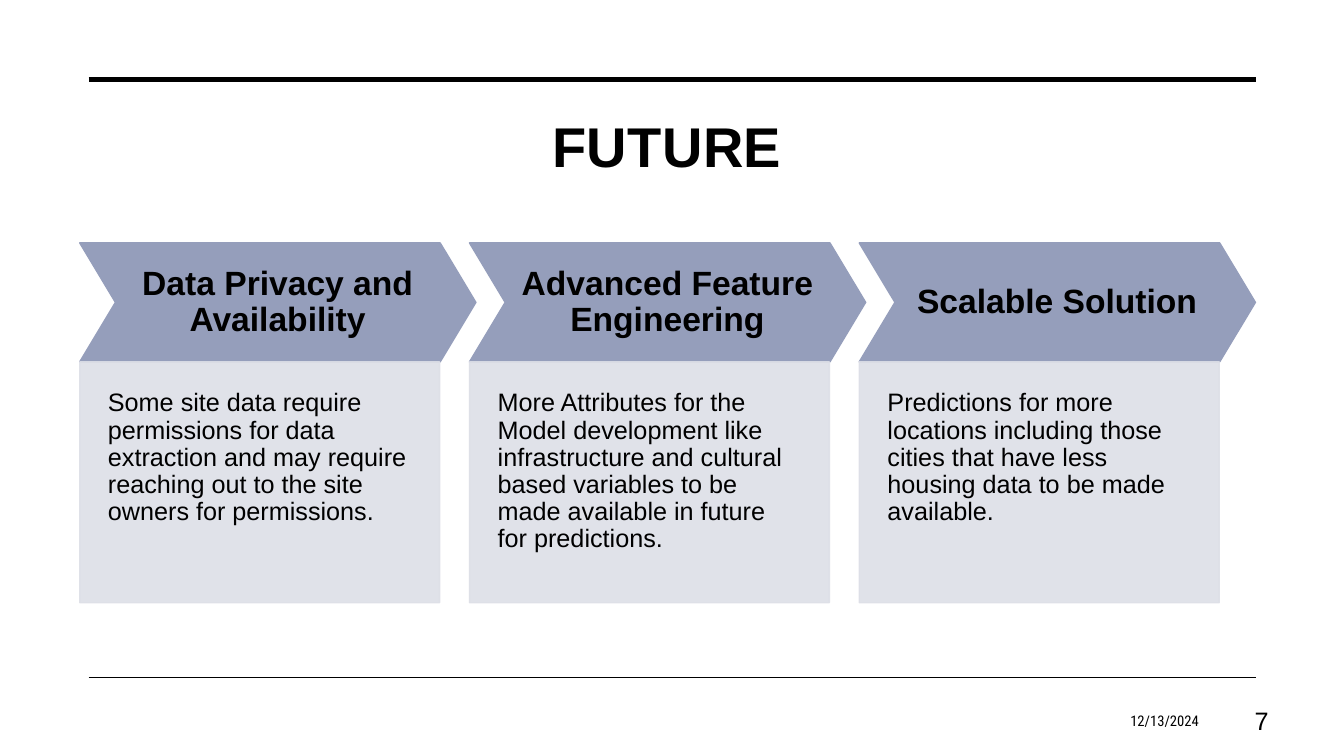
from dataclasses import dataclass, field
from typing import Any

import lxml.etree
import pptx
import pptx.dml.color
import pptx.enum.shapes
import pptx.enum.text
import pptx.oxml.ns
import pptx.util

Align = pptx.enum.text.PP_ALIGN
Anchor = pptx.enum.text.MSO_ANCHOR
Preset = pptx.enum.shapes.MSO_SHAPE
WIDTH = pptx.util.Inches(13.33)
HEIGHT = pptx.util.Inches(7.5)


@dataclass(frozen=True)
class Theme:
    ink: str = "000000"
    chevron: str = "959EBB"
    panel: str = "DDDFE7"
    panel_opacity: int = 90
    face: str = "Arial"
    date_face: str = "Roboto Condensed"
    title_size: float = 40
    label_size: float = 24
    body_size: float = 18
    date_size: float = 10.5
    outline: float = 1
    top_rule: float = 3.5
    bottom_rule: float = 1


@dataclass(frozen=True)
class Area:
    """Position and size on a grid of 100 columns by 100 rows."""

    column: float
    row: float
    columns: float
    rows: float

    def lengths(self) -> tuple[int, int, int, int]:
        return across(self.column), down(self.row), across(self.columns), down(self.rows)


@dataclass(frozen=True)
class TextStyle:
    size: float
    face: str
    bold: bool = False
    tracking: int = 0
    frame: dict[str, Any] = field(default_factory=dict)
    paragraph: dict[str, Any] = field(default_factory=dict)


@dataclass(frozen=True)
class Rule:
    row: float
    weight: float


@dataclass(frozen=True)
class Caption:
    text: str
    area: Area
    style: TextStyle


@dataclass(frozen=True)
class Step:
    label: str
    body: str


THEME = Theme()


def across(columns: float) -> int:
    return round(WIDTH * columns / 100)


def down(rows: float) -> int:
    return round(HEIGHT * rows / 100)


def color(value: str) -> pptx.dml.color.RGBColor:
    return pptx.dml.color.RGBColor.from_string(value)


def margins(left: float, top: float, right: float, bottom: float) -> dict[str, Any]:
    sides = ("left", "top", "right", "bottom")
    return {
        f"margin_{side}": pptx.util.Inches(inset)
        for side, inset in zip(sides, (left, top, right, bottom))
    }


def apply(target: Any, values: dict[str, Any]) -> None:
    for name, value in values.items():
        setattr(target, name, value)


TITLE = TextStyle(
    THEME.title_size, THEME.face, True, 30,
    margins(0.1, 0.1, 0.1, 0.05), {"alignment": Align.CENTER},
)
LABEL = TextStyle(
    THEME.label_size, THEME.face, True, 0,
    margins(0.15, 0.15, 0.15, 0.15) | {"vertical_anchor": Anchor.MIDDLE},
    {"alignment": Align.CENTER, "line_spacing": 0.9},
)
BODY = TextStyle(
    THEME.body_size, THEME.face, False, 0,
    margins(0.28, 0.28, 0.28, 0.56) | {"vertical_anchor": Anchor.TOP},
    {"alignment": Align.LEFT, "line_spacing": 0.9},
)
FOOTER = {
    "frame": {"vertical_anchor": Anchor.MIDDLE},
    "paragraph": {"alignment": Align.RIGHT, "space_after": pptx.util.Pt(6)},
}
DATE = TextStyle(THEME.date_size, THEME.date_face, **FOOTER)
NUMBER = TextStyle(THEME.body_size, THEME.face, **FOOTER)

RULES = (Rule(10.53, THEME.top_rule), Rule(89.6, THEME.bottom_rule))
RULE_START, RULE_END = 6.6, 93.47
CAPTIONS = (
    Caption("FUTURE", Area(5.78, 13.47, 87.7, 20), TITLE),
    Caption("12/13/2024", Area(68.64, 92.67, 21.3, 5.33), DATE),
    Caption("7", Area(89.57, 92.67, 5.55, 5.33), NUMBER),
)
STEPS = (
    Step(
        "Data Privacy and Availability",
        "Some site data require permissions for data extraction and may require "
        "reaching out to the site owners for permissions.",
    ),
    Step(
        "Advanced Feature Engineering",
        "More Attributes for the Model development like infrastructure and cultural "
        "based variables to be made available in future for predictions.",
    ),
    Step(
        "Scalable Solution",
        "Predictions for more locations including those cities that have less "
        "housing data to be made available.",
    ),
)
STEP_START, STEP_PITCH, STEP_ROW = 5.93, 29, 32.13
CHEVRON_COLUMNS, CHEVRON_ROWS, CHEVRON_POINT = 29.48, 15.73, 0.3
LABEL_INDENT, LABEL_COLUMNS = 2.65, 24.15
PANEL_COLUMNS, PANEL_ROWS = 26.78, 31.87


def write(box: Any, text: str, style: TextStyle) -> None:
    frame = box.text_frame
    apply(frame, {"word_wrap": True} | style.frame)
    para = frame.paragraphs[0]
    apply(para, style.paragraph)
    span = para.add_run()
    span.text = text
    apply(span.font, {"size": pptx.util.Pt(style.size), "name": style.face, "bold": style.bold})
    span.font.color.rgb = color(THEME.ink)
    if style.tracking:
        span.font._element.set("spc", str(style.tracking))


def add_caption(page: Any, caption: Caption) -> None:
    write(page.shapes.add_textbox(*caption.area.lengths()), caption.text, caption.style)


def add_rule(page: Any, rule: Rule) -> None:
    line = page.shapes.add_connector(
        pptx.enum.shapes.MSO_CONNECTOR.STRAIGHT,
        across(RULE_START), down(rule.row), across(RULE_END), down(rule.row),
    )
    line.line.color.rgb = color(THEME.ink)
    line.line.width = pptx.util.Pt(rule.weight)
    lxml.etree.SubElement(line._element.spPr, pptx.oxml.ns.qn("a:effectLst"))


def add_block(page: Any, preset: Any, area: Area, tint: str, opacity: int = 100) -> Any:
    block = page.shapes.add_shape(preset, *area.lengths())
    block.shadow.inherit = False
    block.fill.solid()
    block.fill.fore_color.rgb = color(tint)
    block.line.color.rgb = color(tint)
    block.line.width = pptx.util.Pt(THEME.outline)
    if opacity < 100:
        for swatch in block._element.spPr.iter(pptx.oxml.ns.qn("a:srgbClr")):
            alpha = lxml.etree.SubElement(swatch, pptx.oxml.ns.qn("a:alpha"))
            alpha.set("val", str(opacity * 1000))
    return block


def add_step(page: Any, index: int, step: Step) -> None:
    left = STEP_START + index * STEP_PITCH
    chevron_area = Area(left, STEP_ROW, CHEVRON_COLUMNS, CHEVRON_ROWS)
    label_area = Area(left + LABEL_INDENT, STEP_ROW, LABEL_COLUMNS, CHEVRON_ROWS)
    panel_area = Area(left, STEP_ROW + CHEVRON_ROWS, PANEL_COLUMNS, PANEL_ROWS)
    chevron = add_block(page, Preset.CHEVRON, chevron_area, THEME.chevron)
    chevron.adjustments[0] = CHEVRON_POINT
    add_caption(page, Caption(step.label, label_area, LABEL))
    panel = add_block(page, Preset.RECTANGLE, panel_area, THEME.panel, THEME.panel_opacity)
    write(panel, step.body, BODY)


def main() -> None:
    deck = pptx.Presentation()
    apply(deck, {"slide_width": WIDTH, "slide_height": HEIGHT})
    page = deck.slides.add_slide(deck.slide_layouts[6])
    for rule in RULES:
        add_rule(page, rule)
    for caption in CAPTIONS:
        add_caption(page, caption)
    for index, step in enumerate(STEPS):
        add_step(page, index, step)
    deck.save("out.pptx")


if __name__ == "__main__":
    main()
